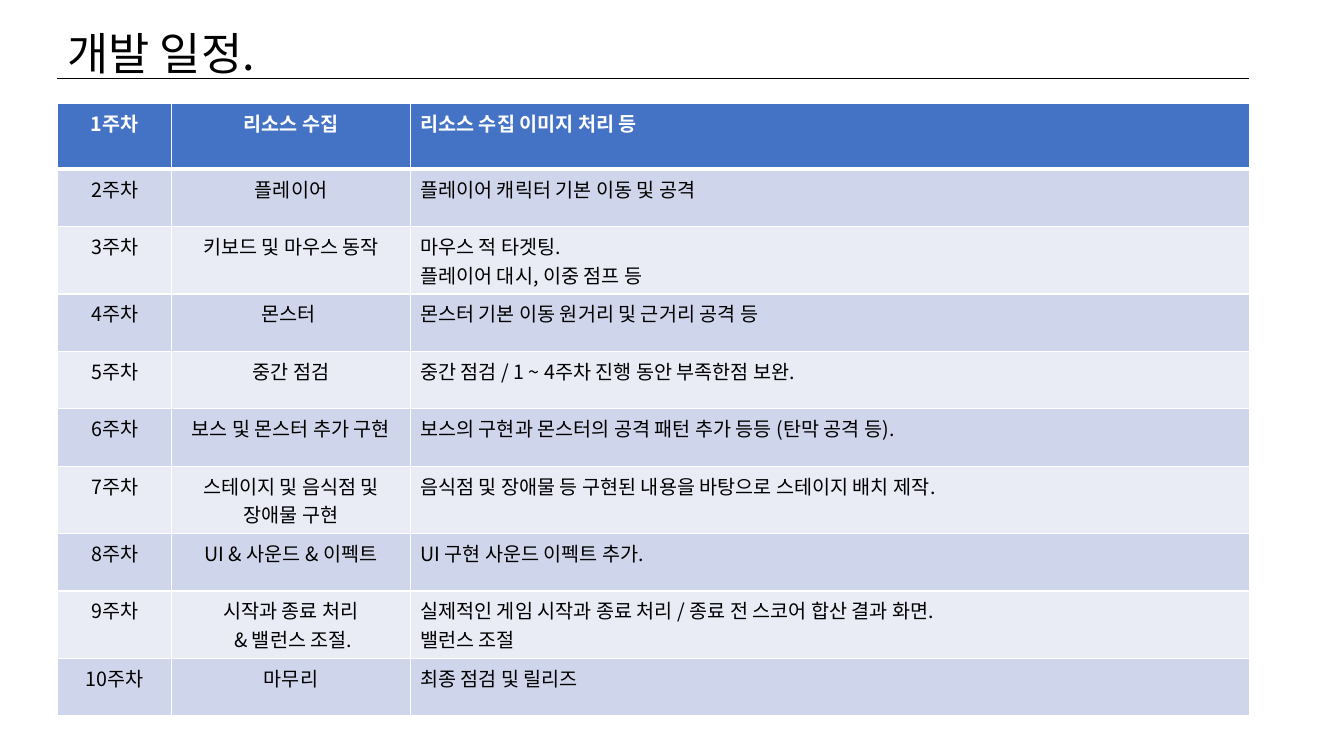
from dataclasses import dataclass

from lxml.etree import SubElement
from pptx import Presentation
from pptx.dml.color import RGBColor
from pptx.enum.text import MSO_ANCHOR, PP_ALIGN
from pptx.oxml.ns import qn
from pptx.util import Inches, Pt


@dataclass(frozen=True)
class Theme:
    """Colours, font and type sizes of the slide."""
    font: str = "Noto Sans CJK KR"
    ink: str = "000000"
    paper: str = "FFFFFF"
    header: str = "4472C4"
    bands: tuple = ("E9EBF5", "CFD5EA")
    title_size: int = 32
    body_size: int = 14


THEME = Theme()
SLIDE_WIDTH, SLIDE_HEIGHT = 13.33, 7.5
MARGIN = 0.57
CONTENT_WIDTH = 11.82
COLUMN_SHARES = (0.096, 0.2, 0.704)
HEADER_HEIGHT, SINGLE_HEIGHT, DOUBLE_HEIGHT = 0.65, 0.57, 0.66

SCHEDULE = [
    ("리소스 수집", "리소스 수집 이미지 처리 등"),
    ("플레이어", "플레이어 캐릭터 기본 이동 및 공격"),
    ("키보드 및 마우스 동작", "마우스 적 타겟팅.\n플레이어 대시, 이중 점프 등"),
    ("몬스터 ", "몬스터 기본 이동 원거리 및 근거리 공격 등"),
    ("중간 점검", "중간 점검 / 1 ~ 4주차 진행 동안 부족한점 보완."),
    ("보스 및 몬스터 추가 구현", "보스의 구현과 몬스터의 공격 패턴 추가 등등 (탄막 공격 등)."),
    ("스테이지 및 음식점 및\n장애물 구현", "음식점 및 장애물 등 구현된 내용을 바탕으로 스테이지 배치 제작."),
    ("UI & 사운드 & 이펙트", "UI 구현 사운드 이펙트 추가."),
    ("시작과 종료 처리\n & 밸런스 조절.",
     "실제적인 게임 시작과 종료 처리 / 종료 전 스코어 합산 결과 화면.\n밸런스 조절"),
    ("마무리", "최종 점검 및 릴리즈"),
]


def add_text(paragraph, text, size, color, bold=False):
    """Add one run in the theme font for Latin and Korean letters."""
    run = paragraph.add_run()
    run.text = text
    run.font.name = THEME.font
    run.font.size = Pt(size)
    run.font.bold = bold
    run.font.color.rgb = RGBColor.from_string(color)
    SubElement(run.font._element, qn("a:ea"), typeface=THEME.font)


def add_title(slide, left, top, width, height):
    """Place the heading with the rule below it."""
    heading = slide.shapes.add_textbox(
        Inches(left), Inches(top), Inches(width * 0.57), Inches(height)).text_frame
    heading.word_wrap = True
    heading.vertical_anchor = MSO_ANCHOR.MIDDLE
    heading.paragraphs[0].line_spacing = 0.9
    add_text(heading.paragraphs[0], "개발 일정.", THEME.title_size, THEME.ink)

    rule_y = Inches(top + height + 0.05)
    rule = slide.shapes.add_connector(1, Inches(left), rule_y, Inches(left + width), rule_y)
    rule.line.color.rgb = RGBColor.from_string(THEME.ink)
    rule.line.width = Pt(0.5)
    SubElement(rule._element.spPr, qn("a:effectLst"))


def set_borders(cell, top, bottom):
    """Draw the white borders of a cell, with widths in points."""
    properties = cell._tc.get_or_add_tcPr()
    for side, points in (("L", 1), ("R", 1), ("T", top), ("B", bottom)):
        border = SubElement(properties, qn(f"a:ln{side}"), w=str(Pt(points)))
        fill = SubElement(border, qn("a:solidFill"))
        SubElement(fill, qn("a:srgbClr"), val=THEME.paper)


def fill_cell(cell, text, row, centred):
    """Write and colour one schedule cell."""
    is_header = row == 0
    set_borders(cell, 3 if row == 1 else 1, 3 if is_header else 1)
    cell.fill.solid()
    cell.fill.fore_color.rgb = RGBColor.from_string(
        THEME.header if is_header else THEME.bands[row % 2])
    for index, line in enumerate(text.split("\n")):
        frame = cell.text_frame
        paragraph = frame.add_paragraph() if index else frame.paragraphs[0]
        paragraph.alignment = PP_ALIGN.CENTER if centred else PP_ALIGN.LEFT
        add_text(paragraph, line, THEME.body_size,
                 THEME.paper if is_header else THEME.ink, is_header)


def add_schedule(slide, left, top, width):
    """Place the weekly schedule table."""
    heights = [DOUBLE_HEIGHT if "\n" in task + detail else SINGLE_HEIGHT
               for task, detail in SCHEDULE]
    heights[0] = HEADER_HEIGHT
    table = slide.shapes.add_table(
        len(SCHEDULE), len(COLUMN_SHARES), Inches(left), Inches(top),
        Inches(width), Inches(sum(heights))).table
    for column, share in zip(table.columns, COLUMN_SHARES):
        column.width = Inches(width * share)
    for row, (height, entry) in enumerate(zip(heights, SCHEDULE)):
        table.rows[row].height = Inches(height)
        for column, text in enumerate((f"{row + 1}주차", *entry)):
            fill_cell(table.cell(row, column), text, row, column < 2)


def main():
    """Build and save the slide."""
    deck = Presentation()
    deck.slide_width, deck.slide_height = Inches(SLIDE_WIDTH), Inches(SLIDE_HEIGHT)
    slide = deck.slides.add_slide(deck.slide_layouts[6])
    add_schedule(slide, MARGIN, 1.03, CONTENT_WIDTH)
    add_title(slide, MARGIN, 0.39, CONTENT_WIDTH, 0.34)
    deck.save("out.pptx")


if __name__ == "__main__":
    main()
